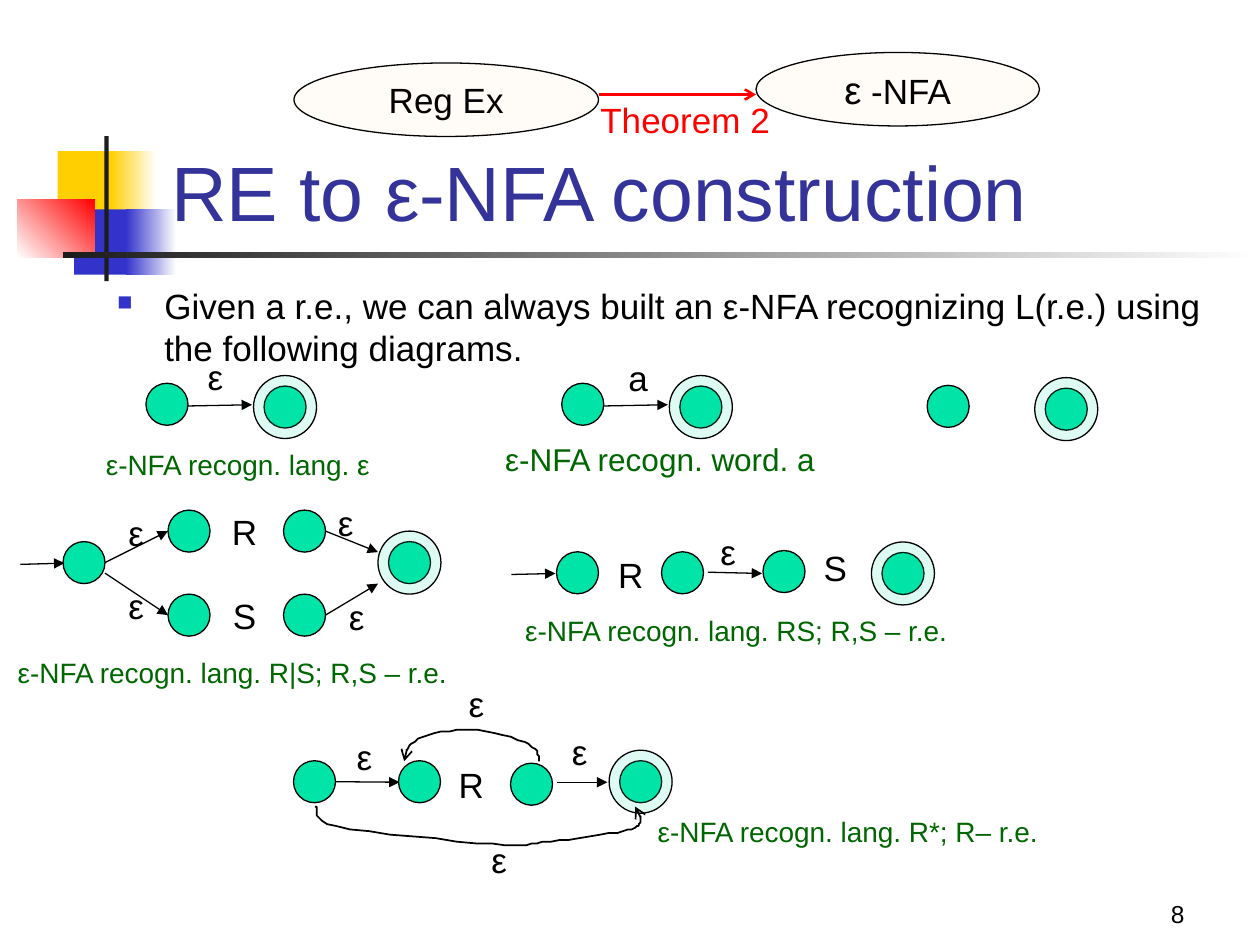
from dataclasses import dataclass

from lxml import etree
from pptx import Presentation
from pptx.dml.color import RGBColor
from pptx.enum import shapes, text
from pptx.oxml import ns
from pptx.util import Pt


@dataclass(frozen=True)
class Theme:
    font: str = "Arial"
    ink: str = "000000"
    title: str = "333399"
    caption: str = "006600"
    accent: str = "FF0000"
    state: str = "00E4A8"
    node: str = "FFCC99"
    blue: str = "3333CC"
    yellow: str = "FFCF01"
    dark: str = "1C1C1C"
    white: str = "FFFFFF"
    title_size: float = 44
    epsilon_size: float = 22
    body_size: float = 20
    word_size: float = 18
    caption_size: float = 16
    number_size: float = 14


THEME = Theme()
STATE, RING = 24, 36
OVAL = shapes.MSO_SHAPE.OVAL
LABEL_WIDTHS = {"R": 28.8, "S": 28, "a": 26, "ε": 23}


def rgb(color):
    return RGBColor.from_string(color)


def add_runs(paragraph, runs):
    for content, size, color in runs:
        run = paragraph.add_run()
        run.text = content
        run.font.name, run.font.size = THEME.font, Pt(size)
        run.font.color.rgb = rgb(color)


def text_box(slide, box, content, size, color=THEME.ink, wrap=True,
             anchor=text.MSO_ANCHOR.TOP, align=text.PP_ALIGN.LEFT):
    frame = slide.shapes.add_textbox(*map(Pt, box)).text_frame
    frame.word_wrap, frame.vertical_anchor = wrap, anchor
    paragraph = frame.paragraphs[0]
    paragraph.alignment = align
    add_runs(paragraph, [(content, size, color)])
    return paragraph


def filled_shape(slide, kind, box, color, opacity=100, outline=None):
    shape = slide.shapes.add_shape(kind, *map(Pt, box))
    shape.shadow.inherit = False
    shape.fill.solid()
    shape.fill.fore_color.rgb = rgb(color)
    if opacity < 100:
        tint = shape.fill._xPr.find(".//" + ns.qn("a:srgbClr"))
        etree.SubElement(tint, ns.qn("a:alpha"), val=str(opacity * 1000))
    if outline:
        shape.line.color.rgb, shape.line.width = rgb(outline), Pt(0.75)
    else:
        shape.line.fill.background()
    return shape


def fade(shape, start, end, angle=0):
    shape.fill.gradient()
    shape.fill.gradient_angle = angle
    for stop, color in zip(shape.fill.gradient_stops, (start, end)):
        stop.color.rgb = rgb(color)


def style_line(line, color, width, end, head):
    line.color.rgb, line.width = rgb(color), Pt(width)
    etree.SubElement(line._get_or_add_ln(), ns.qn(f"a:{end}"), type=head)


def arrow(slide, start, finish, color=THEME.ink, width=0.75, head="triangle"):
    link = slide.shapes.add_connector(
        shapes.MSO_CONNECTOR.STRAIGHT, *map(Pt, (*start, *finish)))
    style_line(link.line, color, width, "tailEnd", head)
    etree.SubElement(link._element.spPr, ns.qn("a:effectLst"))


def loop(slide, start, curves, steps=8):
    """Draw chained cubic curves, with the arrowhead at the start."""
    points, last = [], start
    for c1, c2, end in curves:
        for t in (step / steps for step in range(1, steps + 1)):
            weights = ((1 - t) ** 3, 3 * t * (1 - t) ** 2, 3 * t * t * (1 - t), t ** 3)
            points.append(tuple(sum(w * p[axis] for w, p in zip(weights, (last, c1, c2, end)))
                                for axis in (0, 1)))
        last = end
    builder = slide.shapes.build_freeform(*start, scale=Pt(1))
    builder.add_line_segments(points, close=False)
    path = builder.convert_to_shape()
    path.shadow.inherit = False
    path.fill.background()
    style_line(path.line, THEME.ink, 1, "headEnd", "arrow")


def automaton(slide, origin, states, final, arrows=(), labels=(), loops=(), caption=None):
    """Place all parts relative to the centre of the first state."""
    def at(point):
        return origin[0] + point[0], origin[1] + point[1]

    def disc(point, size, opacity=100):
        x, y = at(point)
        filled_shape(slide, OVAL, (x - size / 2, y - size / 2, size, size),
                     THEME.state, opacity, THEME.ink)

    for point in ((0, 0), *states, final):
        disc(point, STATE)
    disc(final, RING, 13)
    for start, finish in arrows:
        arrow(slide, at(start), at(finish))
    for start, curves in loops:
        loop(slide, at(start), [[at(p) for p in curve] for curve in curves])
    for symbol, point in labels:
        text_box(slide, (*at(point), LABEL_WIDTHS[symbol], 31), symbol,
                 THEME.body_size, wrap=False)
    if caption:
        content, point, width, size = caption
        text_box(slide, (*at(point), width, 27), content, size, THEME.caption)


def ornament(slide, left, top):
    rect = shapes.MSO_SHAPE.RECTANGLE
    t = THEME
    for box, start, end, angle in (
            ((23, 8.6, 34.6, 37.4), t.yellow, None, 0),
            ((53.3, 8.6, 26, 37.4), t.yellow, t.white, 0),
            ((32.4, 41.8, 33.1, 37.4), t.blue, None, 0),
            ((62, 41.8, 28.8, 37.4), t.blue, t.white, 0),
            ((0, 36, 44, 33.1), t.white, t.accent, 45),
            ((49.7, 0, 2.5, 82.8), t.dark, None, 0),
            ((26, 66.2, 684, 3.6), t.dark, t.white, 0)):
        x, y, width, height = box
        block = filled_shape(slide, rect, (left + x, top + y, width, height), start)
        if end:
            fade(block, start, end, angle)


def theorem_banner(slide, left, top):
    size, ink = THEME.body_size, THEME.ink
    for box, runs in (
            ((264, 0, 162, 42), [("ε", THEME.epsilon_size, ink), (" -NFA", size, ink)]),
            ((0, 6, 174, 42), [("Reg Ex", size, ink)])):
        x, y, width, height = box
        node = filled_shape(slide, OVAL, (left + x, top + y, width, height),
                            THEME.node, 8, ink)
        frame = node.text_frame
        frame.word_wrap, frame.vertical_anchor = False, text.MSO_ANCHOR.MIDDLE
        frame.paragraphs[0].alignment = text.PP_ALIGN.CENTER
        add_runs(frame.paragraphs[0], runs)
    arrow(slide, (left + 174, top + 24), (left + 264, top + 24), THEME.accent, 1.5, "arrow")
    text_box(slide, (left + 168, top + 22.5, 111.6, 31), "Theorem 2", size,
             THEME.accent, wrap=False)


def heading_and_statement(slide, left, top):
    text_box(slide, (left + 31, top, 613.4, 90), "RE to ε-NFA construction",
             THEME.title_size, THEME.title, anchor=text.MSO_ANCHOR.BOTTOM)
    statement = text_box(
        slide, (left, top + 110, 645, 60),
        "Given a r.e., we can always built an ε-NFA recognizing L(r.e.) using "
        "the following diagrams.", THEME.body_size)
    props = statement._p.get_or_add_pPr()
    props.set("marL", str(Pt(27)))
    props.set("indent", str(-Pt(27)))
    tint = etree.SubElement(props, ns.qn("a:buClr"))
    etree.SubElement(tint, ns.qn("a:srgbClr"), val=THEME.blue)
    etree.SubElement(props, ns.qn("a:buSzPct"), val="60000")
    etree.SubElement(props, ns.qn("a:buChar"), char="■")


def diagrams(slide):
    small = THEME.caption_size
    step = ((12, 1), (48.6, 0.3))
    # Base cases: empty word, single letter, empty language
    automaton(slide, (95.4, 231), [], (67.5, 1.6), [step], [("ε", (16.2, -31.4))],
              caption=("ε-NFA recogn. lang. ε", (-42, 21), 178, small))
    automaton(slide, (333, 231), [], (67.5, 1.6), [step], [("a", (19, -30.6))],
              caption=("ε-NFA recogn. word. a", (-51.5, 16.7), 198, THEME.word_size))
    automaton(slide, (541.8, 232.2), [], (67.5, 1.6))
    # Union
    automaton(
        slide, (48, 321.5), [(x, y) for x in (60, 126) for y in (-18, 30)], (186, 0),
        [((-36.4, 1), (-11.2, 0.3)), ((12, 0), (48, -18)), ((12, 6), (48, 30)),
         ((138, -18), (168, -6)), ((138, 30), (168, 12))],
        [("R", (77.4, -33.5)), ("S", (78, 14.7)), ("ε", (138, -38.5)),
         ("ε", (144.3, 15.5)), ("ε", (18.3, -32.8)), ("ε", (18.3, 9))],
        caption=("ε-NFA recogn. lang. R|S; R,S – r.e.", (-45, 49.3), 264, small))
    # Concatenation
    automaton(
        slide, (330, 327.3), [(60, 0), (118, -0.7)], (186, 0.4),
        [((-37.8, 1), (-12.6, 0.4)), ((74.5, -0.3), (105.5, 0.4))],
        [("R", (16.2, -14.7)), ("S", (133.6, -18.3)), ("ε", (74.5, -27.7))],
        caption=("ε-NFA recogn. lang. RS; R,S – r.e.", (-37, 19.8), 264, small))
    # Kleene star
    skip = ((183.3, 14), [
        ((183.3, 15.4), (187.6, 19.8), (186.2, 22.6)),
        ((185.4, 24.8), (185.4, 26.2), (176.8, 28.4)),
        ((168.2, 29.8), (147.3, 32.7), (135, 34.2)),
        ((122.1, 35.6), (121.4, 37), (101.2, 35.6)),
        ((81, 34.2), (29.9, 29.1), (12.6, 25.5)),
        ((-3.9, 21.9), (2.6, 15.4), (0.4, 14))])
    repeat = ((51.5, -12), [
        ((52.2, -17), (53, -21.3), (59.4, -24.2)),
        ((65.2, -27), (78.9, -30.6), (89.7, -30)),
        ((99.8, -30), (116.3, -24.2), (122.8, -21.3)),
        ((128.6, -18.4), (127.8, -15), (127.8, -12))])
    automaton(
        slide, (179.7, 446.7), [(60, 0), (124, 1.4)], (186.4, 0),
        [((12, 0), (48.6, 0.3)), ((138.6, 0.3), (167.4, 0.3))],
        [("ε", (140, -32.8)), ("ε", (17, -30)), ("ε", (94, 29)),
         ("ε", (81, -60)), ("R", (75.3, -14))], [skip, repeat],
        ("ε-NFA recogn. lang. R*; R– r.e.", (189, 15.4), 264, small))


def main():
    deck = Presentation()
    deck.slide_width, deck.slide_height = Pt(720), Pt(540)
    slide = deck.slides.add_slide(deck.slide_layouts[6])
    ornament(slide, 10, 77.8)
    heading_and_statement(slide, 59.8, 49)
    theorem_banner(slide, 168, 30)
    diagrams(slide)
    # Slide number
    text_box(slide, (534, 498, 150, 36), "8", THEME.number_size,
             anchor=text.MSO_ANCHOR.BOTTOM, align=text.PP_ALIGN.RIGHT)
    deck.save("out.pptx")


if __name__ == "__main__":
    main()
